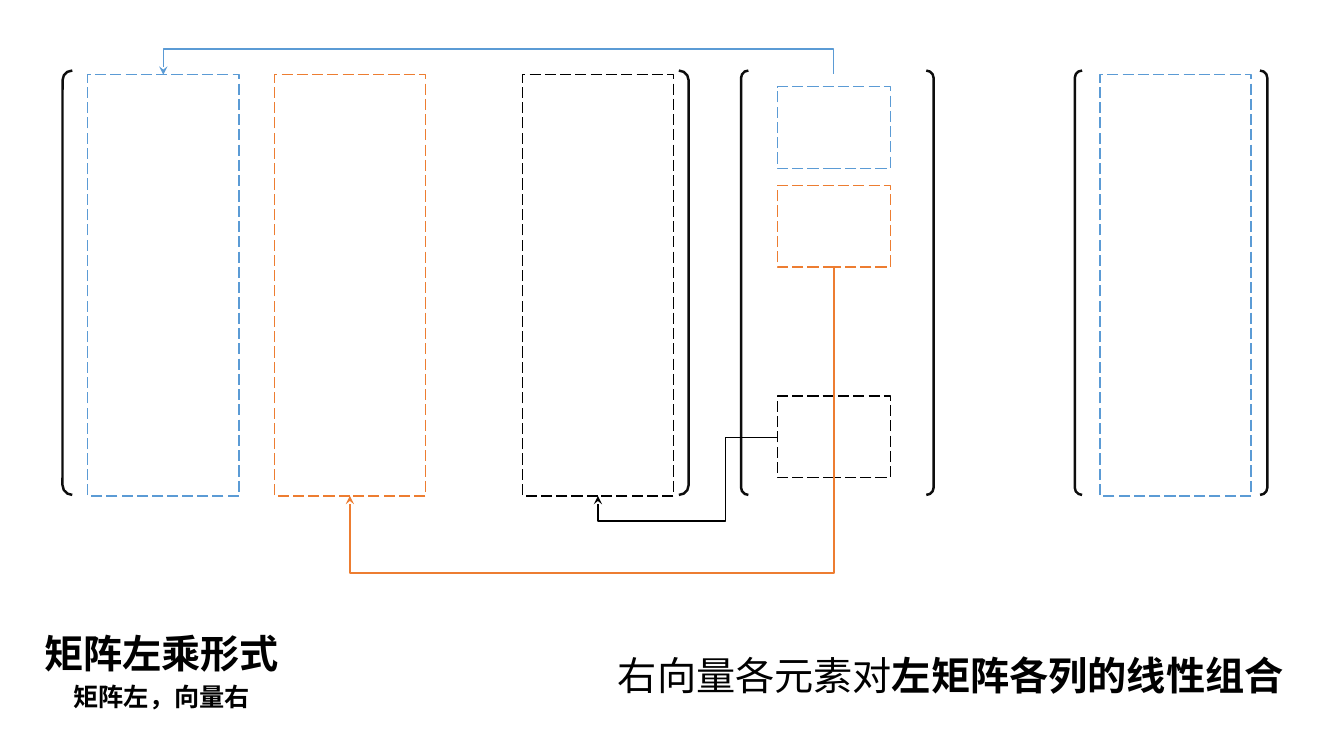
from dataclasses import dataclass

from lxml import etree
from pptx import Presentation
from pptx.dml.color import RGBColor
from pptx.enum import dml, shapes, text
from pptx.oxml import ns
from pptx.util import Inches, Pt


@dataclass(frozen=True)
class Theme:
    blue: str = "5B9BD5"
    orange: str = "ED7D31"
    black: str = "000000"
    bracket: str = "0D0D0D"
    font: str = "Noto Sans CJK SC"
    large: int = 28
    small: int = 18
    thin: float = 1
    thick: float = 1.75


theme = Theme()
deck = Presentation()
deck.slide_width, deck.slide_height = Inches(13.33), Inches(7.5)
page = deck.slides.add_slide(deck.slide_layouts[6])


def add_outline(preset, left, top, width, height, color, weight):
    box = page.shapes.add_shape(preset, Inches(left), Inches(top), Inches(width), Inches(height))
    box.shadow.inherit = False
    box.fill.background()
    box.line.color.rgb = RGBColor.from_string(color)
    box.line.width = Pt(weight)
    return box


# Matrix columns, the result column and the vector elements
COLUMN_TOP, COLUMN_WIDTH, COLUMN_HEIGHT = 0.74, 1.5, 4.18
ELEMENT_LEFT, ELEMENT_WIDTH, ELEMENT_HEIGHT = 7.71, 1.12, 0.81
columns = [(0.87, theme.blue), (2.72, theme.orange), (5.18, theme.black), (10.91, theme.blue)]
elements = [(0.86, theme.blue), (1.84, theme.orange), (3.93, theme.black)]
cells = [(left, COLUMN_TOP, COLUMN_WIDTH, COLUMN_HEIGHT, color) for left, color in columns]
cells += [(ELEMENT_LEFT, top, ELEMENT_WIDTH, ELEMENT_HEIGHT, color) for top, color in elements]
for *frame, color in cells:
    cell = add_outline(shapes.MSO_SHAPE.RECTANGLE, *frame, color, theme.thin)
    cell.line.dash_style = dml.MSO_LINE.LONG_DASH

# Brackets around matrix, vector and result
for left, width, roundness in [(0.62, 6.21, 0.023), (7.35, 1.91, 0.038), (10.66, 1.91, 0.038)]:
    bracket = add_outline(shapes.MSO_SHAPE.DOUBLE_BRACKET, left, 0.7, width, 4.21,
                          theme.bracket, theme.thick)
    bracket.adjustments[0] = roundness

# Elbow arrows from each element to its column: start, end, rotation, flips, bends
arrows = [
    ((8.27, 0.73), (1.62, 0.74), 270, ("flipH", "flipV"), [-25], theme.blue),
    ((7.71, 4.34), (5.93, 4.92), 180, ("flipV",), [0.29, 1.43], theme.black),
    ((8.27, 2.65), (3.47, 4.92), 90, (), [1.337], theme.orange),
]
for (x1, y1), (x2, y2), rotation, flips, bends, color in arrows:
    width, height = abs(x2 - x1), abs(y2 - y1)
    if rotation != 180:
        width, height = height, width
    left, top = (x1 + x2 - width) / 2, (y1 + y2 - height) / 2
    arrow = page.shapes.add_connector(shapes.MSO_CONNECTOR.ELBOW, Inches(left), Inches(top),
                                      Inches(left + width), Inches(top + height))
    arrow.line.color.rgb = RGBColor.from_string(color)
    arrow.line.width = Pt(theme.thin)
    properties = arrow._element.spPr
    frame = properties.find(ns.qn("a:xfrm"))
    frame.set("rot", str(rotation * 60000))
    for flip in flips:
        frame.set(flip, "1")
    geometry = properties.find(ns.qn("a:prstGeom"))
    geometry.set("prst", f"bentConnector{len(bends) + 2}")
    guides = geometry.find(ns.qn("a:avLst"))
    if guides is None:
        guides = etree.SubElement(geometry, ns.qn("a:avLst"))
    for number, bend in enumerate(bends, 1):
        etree.SubElement(guides, ns.qn("a:gd"), name=f"adj{number}",
                         fmla=f"val {round(bend * 100000)}")
    etree.SubElement(properties.find(ns.qn("a:ln")), ns.qn("a:tailEnd"), type="stealth")
    etree.SubElement(properties, ns.qn("a:effectLst"))

# Captions: frame, size and (wording, bold) runs
captions = [
    ((0.34, 6.19, 2.56, 0.57), theme.large, [("矩阵左乘形式", True)]),
    ((0.63, 6.71, 1.97, 0.4), theme.small, [("矩阵左，向量右", True)]),
    ((6.03, 6.41, 6.88, 0.57), theme.large,
     [("右向量各元素对", False), ("左矩阵各列的线性组合", True)]),
]
for frame, size, wording in captions:
    box = page.shapes.add_textbox(*map(Inches, frame))
    box.text_frame.word_wrap = False
    box.text_frame.auto_size = text.MSO_AUTO_SIZE.SHAPE_TO_FIT_TEXT
    para = box.text_frame.paragraphs[0]
    for words, bold in wording:
        span = para.add_run()
        span.text = words
        span.font.size = Pt(size)
        span.font.bold = bold
        span.font.name = theme.font
        span.font.color.rgb = RGBColor.from_string(theme.black)
        etree.SubElement(span._r.get_or_add_rPr(), ns.qn("a:ea"), typeface=theme.font)

deck.save("out.pptx")
